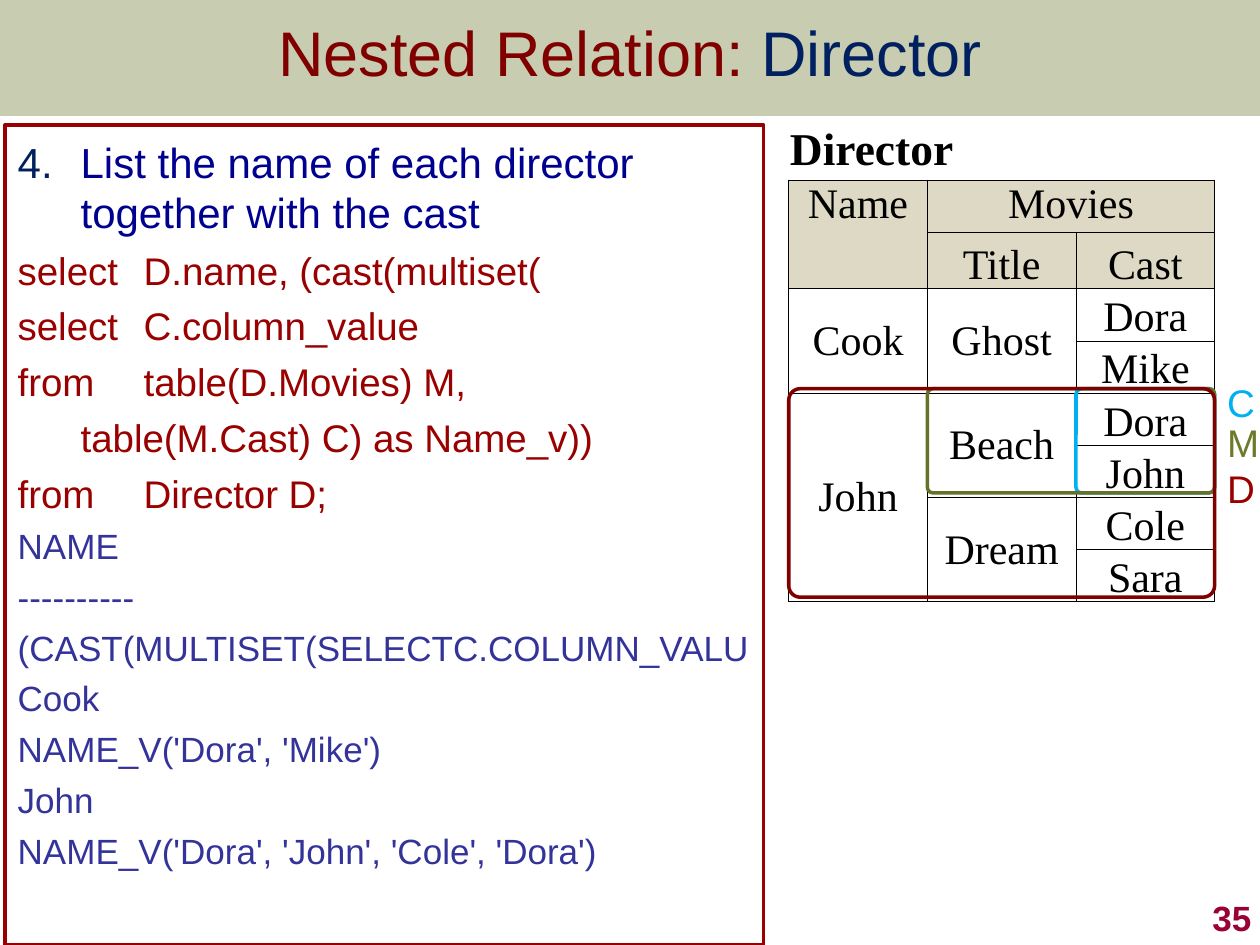
from itertools import accumulate

from lxml import etree
from pptx import Presentation
from pptx.dml.color import RGBColor
from pptx.enum.shapes import MSO_SHAPE
from pptx.enum.text import MSO_ANCHOR, MSO_AUTO_SIZE, PP_ALIGN
from pptx.oxml.ns import qn
from pptx.util import Inches, Pt

COLORS = {
    "band": "C8CCB1", "maroon": "800000", "navy": "002060", "page": "990033",
    "red": "990101", "question": "000090", "result": "333399",
    "header": "DDD9C4", "white": "FFFFFF", "black": "000000",
    "blue": "00B0F0", "olive": "677228", "olive_text": "6E792B",
}
SANS, SERIF = "Arial", "Times New Roman"

TABLE_LEFT, TABLE_TOP, TABLE_HEIGHT = 6.26, 0.98, 3.76
COLUMN_WIDTHS = [1.1, 1.18, 1.1]
CAPTION_HEIGHT, GRID_ROWS = 0.45, 8
ROW_HEIGHTS = [CAPTION_HEIGHT] + [(TABLE_HEIGHT - CAPTION_HEIGHT) / GRID_ROWS] * GRID_ROWS
COLUMN_EDGES = list(accumulate(COLUMN_WIDTHS, initial=TABLE_LEFT))
ROW_EDGES = list(accumulate(ROW_HEIGHTS, initial=TABLE_TOP))
NO_STYLE = "{2D5ABB26-0587-4C30-8999-92F81FD0307C}"

QUESTION = "List the name of each director together with the cast"
QUERY = [
    "select \tD.name, (cast(multiset(",
    "select \tC.column_value",
    "from \ttable(D.Movies) M,",
    "\ttable(M.Cast) C) as Name_v))",
    "from\tDirector D;",
]
RESULT = [
    "NAME",
    "----------",
    "(CAST(MULTISET(SELECTC.COLUMN_VALU",
    "Cook",
    "NAME_V('Dora', 'Mike')",
    "John",
    "NAME_V('Dora', 'John', 'Cole', 'Dora')",
]
# (row, column, row span, column span, text, anchor)
MIDDLE, BOTTOM, TOP = MSO_ANCHOR.MIDDLE, MSO_ANCHOR.BOTTOM, MSO_ANCHOR.TOP
CELLS = [
    (1, 0, 2, 1, "Name　", MIDDLE), (1, 1, 1, 2, "Movies", TOP),
    (2, 1, 1, 1, "Title", BOTTOM), (2, 2, 1, 1, "Cast", BOTTOM),
    (3, 0, 2, 1, "Cook", MIDDLE), (5, 0, 4, 1, "John", MIDDLE),
    (3, 1, 2, 1, "Ghost", MIDDLE), (5, 1, 2, 1, "Beach", MIDDLE),
    (7, 1, 2, 1, "Dream", MIDDLE),
] + [(row, 2, 1, 1, name, BOTTOM)
     for row, name in enumerate(["Dora", "Mike", "Dora", "John", "Cole", "Sara"], 3)]


def color(name):
    return RGBColor.from_string(COLORS[name])


def format_font(item, size, color_name, name=SANS, bold=False):
    """Format the font of a run or a paragraph."""
    item.font.name, item.font.size, item.font.bold = name, Pt(size), bold
    item.font.color.rgb = color(color_name)


def place(shape, left, top, width, height):
    shape.left, shape.top = Inches(left), Inches(top)
    shape.width, shape.height = Inches(width), Inches(height)


def set_insets(target, left, top, right, bottom):
    target.margin_left, target.margin_top = Inches(left), Inches(top)
    target.margin_right, target.margin_bottom = Inches(right), Inches(bottom)


def add_band(slide, presentation):
    band = slide.shapes.add_shape(
        MSO_SHAPE.RECTANGLE, 0, 0, presentation.slide_width, Inches(0.92))
    band.shadow.inherit = False
    band.fill.solid()
    band.fill.fore_color.rgb = color("band")
    band.line.fill.background()
    # The band lies behind the placeholders.
    slide.shapes._spTree.insert(2, band._element)


def fill_title(title):
    place(title, 0, 0, 10, 0.82)
    title.text_frame.vertical_anchor = MIDDLE
    paragraph = title.text_frame.paragraphs[0]
    paragraph.alignment = PP_ALIGN.CENTER
    for text, color_name in [("Nested Relation: ", "maroon"), ("Director", "navy")]:
        run = paragraph.add_run()
        run.text = text
        format_font(run, 36, color_name)


def set_bullet(paragraph, number=None):
    """Number the paragraph with a hanging indent, or leave it plain."""
    properties = paragraph._p.get_or_add_pPr()
    hang = Inches(0.5) if number else 0
    properties.set("marL", str(hang))
    properties.set("indent", str(-hang))
    if number is None:
        etree.SubElement(properties, qn("a:buNone"))
        return
    bullet_color = etree.SubElement(properties, qn("a:buClr"))
    etree.SubElement(bullet_color, qn("a:srgbClr"), val=COLORS["navy"])
    etree.SubElement(properties, qn("a:buFont"), typeface=SANS)
    etree.SubElement(properties, qn("a:buAutoNum"), type="arabicPeriod", startAt=str(number))


def fill_body(body):
    place(body, 0.04, 0.99, 6.02, 6.51)
    body.line.color.rgb = color("red")
    body.line.width = Pt(2)
    frame = body.text_frame
    frame.auto_size = MSO_AUTO_SIZE.NONE
    frame.vertical_anchor = TOP
    set_insets(frame, 0.1, 0.09, 0, 0.05)
    lines = ([(QUESTION, 24, "question")]
             + [(text, 22, "red") for text in QUERY]
             + [(text, 20, "result") for text in RESULT])
    for index, (text, size, color_name) in enumerate(lines):
        paragraph = frame.add_paragraph() if index else frame.paragraphs[0]
        paragraph.text = text
        set_bullet(paragraph, None if index else 4)
        paragraph.space_before = Pt(size * 0.25 if index else 0)
        for run in paragraph.runs:
            format_font(run, size, color_name)


def set_borders(cell, sides):
    properties = cell._tc.get_or_add_tcPr()
    for index, side in enumerate("LRTB"):
        line = etree.Element(qn(f"a:ln{side}"), w=str(Pt(0.5)))
        if side in sides:
            fill = etree.SubElement(line, qn("a:solidFill"))
            etree.SubElement(fill, qn("a:srgbClr"), val=COLORS["black"])
        else:
            etree.SubElement(line, qn("a:noFill"))
        properties.insert(index, line)


def fill_cell(cell, text, size, anchor, alignment, bold=False):
    cell.vertical_anchor = anchor
    paragraph = cell.text_frame.paragraphs[0]
    paragraph.text = text
    paragraph.alignment = alignment
    format_font(paragraph.runs[0], size, "black", SERIF, bold)


def add_director_table(slide):
    frame = slide.shapes.add_table(
        len(ROW_HEIGHTS), len(COLUMN_WIDTHS), Inches(TABLE_LEFT), Inches(TABLE_TOP),
        Inches(sum(COLUMN_WIDTHS)), Inches(TABLE_HEIGHT))
    table = frame.table
    table._tbl.tblPr.find(qn("a:tableStyleId")).text = NO_STYLE
    table.first_row = table.horz_banding = False
    for column, width in zip(table.columns, COLUMN_WIDTHS):
        column.width = Inches(width)
    for index, (row, height) in enumerate(zip(table.rows, ROW_HEIGHTS)):
        row.height = Inches(height)
        for cell in row.cells:
            set_insets(cell, 0.01, 0.01, 0.01, 0)
            cell.fill.solid()
            cell.fill.fore_color.rgb = color("header" if index in (1, 2) else "white")
            set_borders(cell, "LRTB" if index else "B")
    table.cell(0, 0).merge(table.cell(0, 2))
    fill_cell(table.cell(0, 0), "Director", 26, TOP, PP_ALIGN.LEFT, bold=True)
    for row, column, row_span, column_span, text, anchor in CELLS:
        cell = table.cell(row, column)
        if row_span * column_span > 1:
            cell.merge(table.cell(row + row_span - 1, column + column_span - 1))
        fill_cell(cell, text, 24, anchor, PP_ALIGN.CENTER)


def add_highlight(slide, column, row, row_span, color_name):
    """Outline the table cells from the given column to the right edge."""
    left, top = COLUMN_EDGES[column], ROW_EDGES[row]
    outline = slide.shapes.add_shape(
        MSO_SHAPE.ROUNDED_RECTANGLE, Inches(left), Inches(top),
        Inches(COLUMN_EDGES[-1] - left), Inches(ROW_EDGES[row + row_span] - top))
    outline.adjustments[0] = 0.055
    outline.shadow.inherit = False
    outline.fill.background()
    outline.line.color.rgb = color(color_name)
    outline.line.width = Pt(2)


def add_label(slide, text, box, size, color_name, bold=False, alignment=PP_ALIGN.LEFT):
    label = slide.shapes.add_textbox(*map(Inches, box))
    label.text_frame.text = text
    label.text_frame.vertical_anchor = BOTTOM if bold else TOP
    paragraph = label.text_frame.paragraphs[0]
    paragraph.alignment = alignment
    format_font(paragraph.runs[0], size, color_name, bold=bold)


def main():
    presentation = Presentation()
    presentation.slide_width, presentation.slide_height = Inches(10), Inches(7.5)
    slide = presentation.slides.add_slide(presentation.slide_layouts[1])
    add_band(slide, presentation)
    fill_title(slide.shapes.title)
    fill_body(slide.placeholders[1])
    add_director_table(slide)
    add_highlight(slide, 2, 5, 2, "blue")
    add_highlight(slide, 1, 5, 2, "olive")
    add_highlight(slide, 0, 5, 4, "maroon")
    for text, top, color_name in [("D", 3.64, "red"), ("M", 3.28, "olive_text"), ("C", 2.96, "blue")]:
        add_label(slide, text, (9.64, top, 0.44, 0.47), 22, color_name)
    add_label(slide, "35", (7.95, 7, 2.08, 0.5), 20, "page", True, PP_ALIGN.RIGHT)
    presentation.save("out.pptx")


if __name__ == "__main__":
    main()
